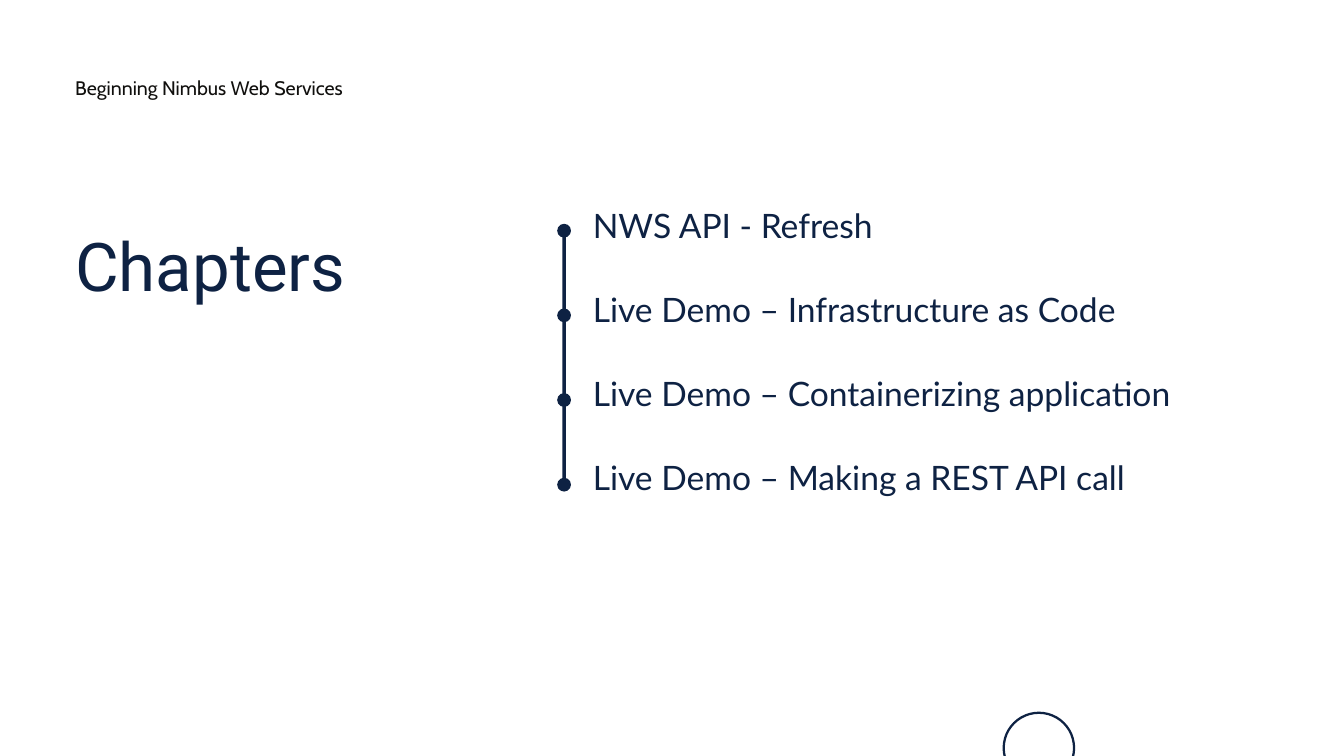
"""Build a chapter list slide with a dotted timeline."""
from lxml import etree
from pptx import Presentation
from pptx.dml.color import RGBColor
from pptx.enum import shapes, text
from pptx.oxml import ns
from pptx.util import Pt

NAVY = RGBColor(0x0E, 0x22, 0x43)
BLACK = RGBColor(0x10, 0x0F, 0x0D)
WHITE = RGBColor(0xFF, 0xFF, 0xFF)

COURSE = "Beginning Nimbus Web Services"
TITLE = "Chapters"
ITEMS = [
    "NWS API - Refresh",
    "Live Demo – Infrastructure as Code",
    "Live Demo – Containerizing application",
    "Live Demo – Making a REST API call",
]

LEFT = 80.6
LEAD, STEP = 27, 90
DOT, DOT_X, DOT_Y, DOT_STEP = 14.8, 597, 239.8, 90.7
RAIL = 3.6
RING = (1075.4, 763.7, 75.4, 75.4)


def write(shape, lines, box, font, size, color, lead, gap=0):
    """Place a text shape and fill it with formatted paragraphs."""
    shape.left, shape.top, shape.width, shape.height = map(Pt, box)
    frame = shape.text_frame
    frame.word_wrap = True
    frame.auto_size = text.MSO_AUTO_SIZE.NONE
    frame.vertical_anchor = text.MSO_ANCHOR.TOP
    frame.margin_left = frame.margin_right = 0
    frame.margin_top = frame.margin_bottom = 0
    frame.text = "\n".join(lines)
    for para in frame.paragraphs:
        para.alignment = text.PP_ALIGN.LEFT
        para.line_spacing = Pt(lead)
        para.space_before = Pt(0)
        para.space_after = Pt(gap)
        para.font.name = font
        para.font.size = Pt(size)
        para.font.color.rgb = color
        props = para._p.get_or_add_pPr()
        props.set("marL", "0")
        props.set("indent", "0")
        bullet = etree.Element(ns.qn("a:buNone"))
        props.insert_element_before(bullet, "a:tabLst", "a:defRPr", "a:extLst")


def draw(slide, kind, box, fill=None, line=None):
    """Add a flat shape with a fill or an outline."""
    shape = slide.shapes.add_shape(kind, *map(Pt, box))
    shape.shadow.inherit = False
    if fill is None:
        shape.fill.background()
    else:
        shape.fill.solid()
        shape.fill.fore_color.rgb = fill
    if line is None:
        shape.line.fill.background()
    else:
        shape.line.color.rgb = NAVY
        shape.line.width = Pt(line)


def main():
    """Assemble and save the slide."""
    deck = Presentation()
    deck.slide_width, deck.slide_height = Pt(1440), Pt(810)
    slide = deck.slides.add_slide(deck.slide_layouts[1])
    slide.background.fill.solid()
    slide.background.fill.fore_color.rgb = WHITE

    head = slide.shapes.add_textbox(0, 0, 0, 0)
    write(head, [COURSE], (LEFT, 77, 333, 28), "Cabin", 21, BLACK, 29.4)
    write(slide.shapes.title, [TITLE], (LEFT, 239.8, 424, 87),
          "Roboto", 72, NAVY, 86.4)
    write(slide.placeholders[1], ITEMS, (635.2, 236, 681, STEP * len(ITEMS)),
          "Lato", 36, NAVY, LEAD, STEP - LEAD)

    oval = shapes.MSO_SHAPE.OVAL
    rail = (DOT_X + (DOT - RAIL) / 2, DOT_Y + DOT / 2,
            RAIL, DOT_STEP * (len(ITEMS) - 1))
    draw(slide, shapes.MSO_SHAPE.RECTANGLE, rail, fill=NAVY)
    for row in range(len(ITEMS)):
        draw(slide, oval, (DOT_X, DOT_Y + row * DOT_STEP, DOT, DOT), fill=NAVY)
    draw(slide, oval, RING, line=2.4)

    deck.save("out.pptx")


if __name__ == "__main__":
    main()
